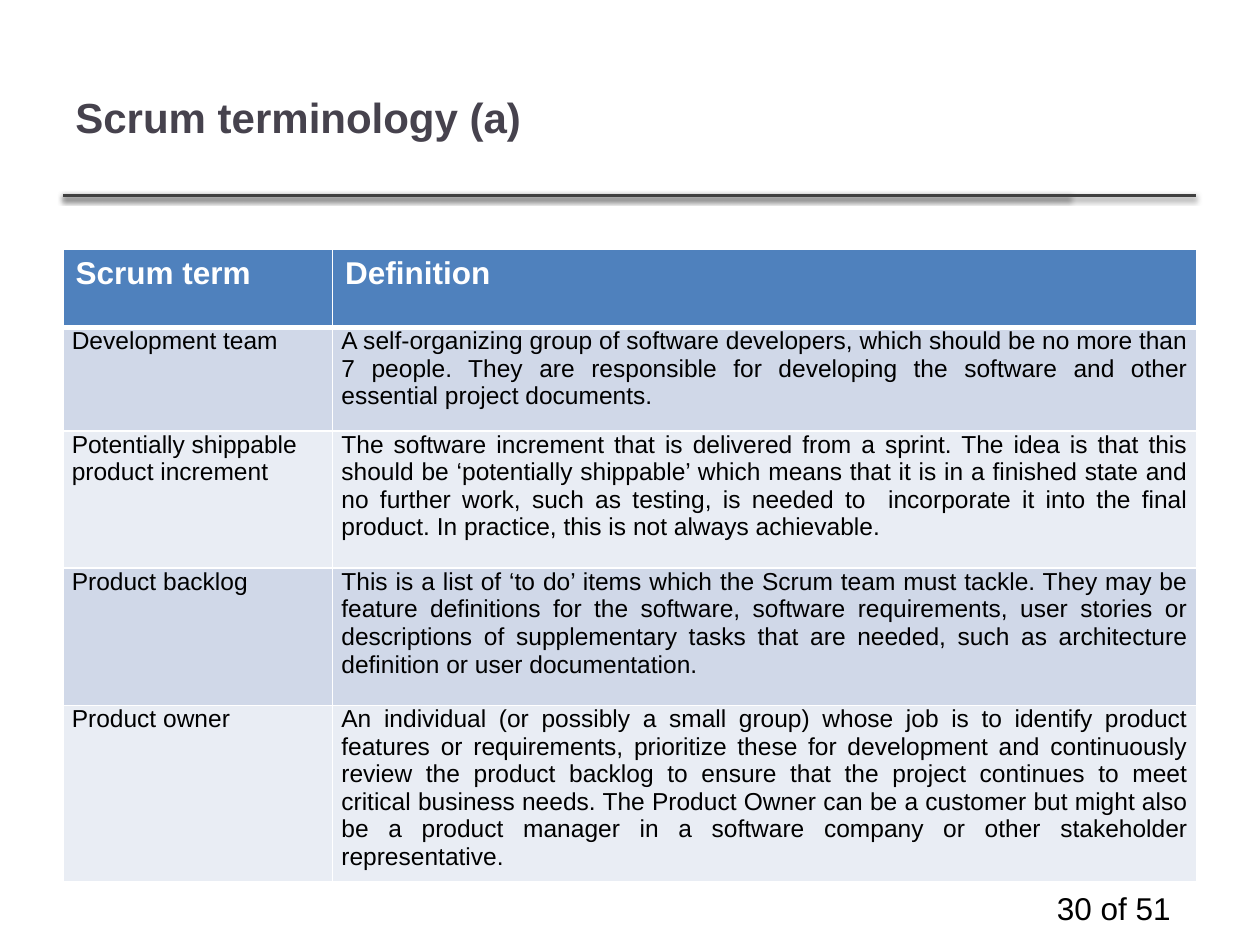
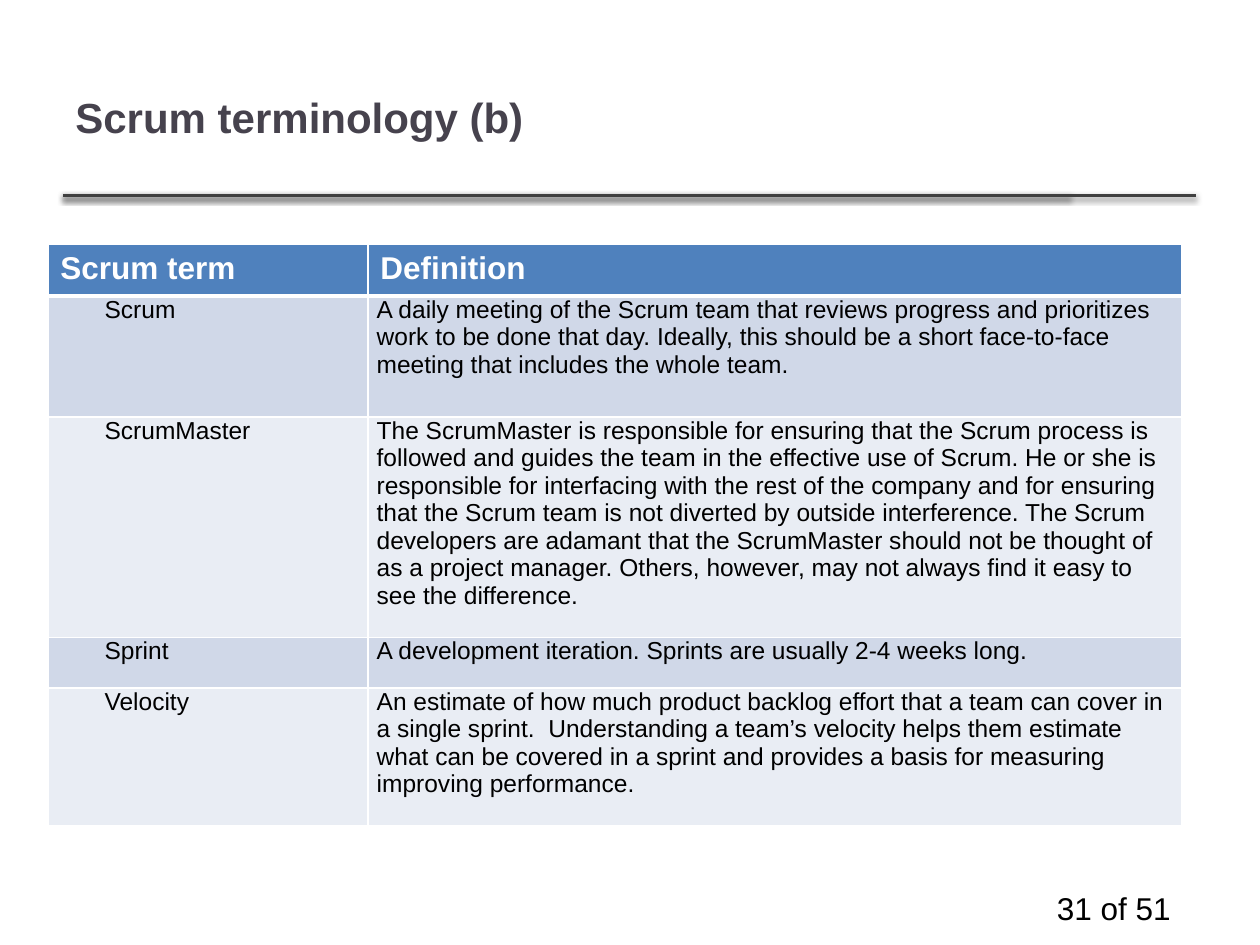
from lxml.etree import SubElement
from pptx import Presentation
from pptx.dml.color import RGBColor
from pptx.enum.shapes import MSO_CONNECTOR
from pptx.enum.text import MSO_ANCHOR, PP_ALIGN
from pptx.oxml.ns import qn
from pptx.util import Inches, Pt

TITLE_INK = RGBColor(0x46, 0x42, 0x4D)
RULE_GREY = RGBColor(0x40, 0x40, 0x40)
BLACK = RGBColor(0, 0, 0)
WHITE = RGBColor(0xFF, 0xFF, 0xFF)
HEADER_BLUE = RGBColor(0x4F, 0x81, 0xBD)
ROW_BANDS = [RGBColor(0xE9, 0xED, 0xF4), RGBColor(0xD0, 0xD8, 0xE8)]

PAGE_COUNT = 51
HEADINGS = ("Scrum term", "Definition")

TERMS_A = [
    ("Development team",
     "A self-organizing group of software developers, which should be no more than 7 people. "
     "They are responsible for developing the software and other essential project documents."),
    ("Potentially shippable product increment",
     "The software increment that is delivered from a sprint. The idea is that this should be "
     "‘potentially shippable’ which means that it is in a finished state and no further work, "
     "such as testing, is needed to  incorporate it into the final product. In practice, this "
     "is not always achievable."),
    ("Product backlog",
     "This is a list of ‘to do’ items which the Scrum team must tackle. They may be feature "
     "definitions for the software, software requirements, user stories or descriptions of "
     "supplementary tasks that are needed, such as architecture definition or user "
     "documentation."),
    ("Product owner",
     "An individual (or possibly a small group) whose job is to identify product features or "
     "requirements, prioritize these for development and continuously review the product "
     "backlog to ensure that the project continues to meet critical business needs. The "
     "Product Owner can be a customer but might also be a product manager in a software "
     "company or other stakeholder representative."),
]
TERMS_B = [
    ("Scrum",
     "A daily meeting of the Scrum team that reviews progress and prioritizes work to be done "
     "that day. Ideally, this should be a short face-to-face meeting that includes the whole "
     "team."),
    ("ScrumMaster",
     "The ScrumMaster is responsible for ensuring that the Scrum process is followed and "
     "guides the team in the effective use of Scrum. He or she is responsible for interfacing "
     "with the rest of the company and for ensuring that the Scrum team is not diverted by "
     "outside interference. The Scrum developers are adamant that the ScrumMaster should not "
     "be thought of as a project manager. Others, however, may not always find it easy to see "
     "the difference."),
    ("Sprint", "A development iteration. Sprints are usually 2-4 weeks long."),
    ("Velocity",
     "An estimate of how much product backlog effort that a team can cover in a single "
     "sprint.  Understanding a team’s velocity helps them estimate what can be covered in a "
     "sprint and provides a basis for measuring improving performance."),
]


class TermDeck:
    font = "Arial"

    def __init__(self):
        self.deck = Presentation()
        self.deck.slide_width = Inches(10)
        self.deck.slide_height = Inches(7.5)

    def start_page(self, title, number):
        self.page = self.deck.slides.add_slide(self.deck.slide_layouts[6])
        for right in (8.49, 9.49):
            self.add_rule(0.5, right, 1.55)
        self.add_text(f"{number} of {PAGE_COUNT}", 8.29, 7.01, 1.43, 0.4, 18, BLACK)
        self.add_text(title, 0.5, 0.3, 7.98, 1.25, 24, TITLE_INK, True, MSO_ANCHOR.MIDDLE)

    def format_text(self, frame, size, color, bold=False, align=PP_ALIGN.LEFT):
        for para in frame.paragraphs:
            para.alignment = align
            for span in para.runs:
                span.font.name = self.font
                span.font.size = Pt(size)
                span.font.bold = bold
                span.font.color.rgb = color

    def add_text(self, text, left, top, width, height, size, color, bold=False,
                 anchor=MSO_ANCHOR.TOP):
        box = self.page.shapes.add_textbox(
            Inches(left), Inches(top), Inches(width), Inches(height))
        frame = box.text_frame
        frame.word_wrap = True
        frame.vertical_anchor = anchor
        frame.text = text
        self.format_text(frame, size, color, bold)

    def add_rule(self, left, right, top):
        rule = self.page.shapes.add_connector(
            MSO_CONNECTOR.STRAIGHT, Inches(left), Inches(top), Inches(right), Inches(top))
        rule.line.color.rgb = RULE_GREY
        rule.line.width = Pt(2)
        properties = rule._element.find(qn("p:spPr"))
        effects = SubElement(properties, qn("a:effectLst"))
        shadow = SubElement(effects, qn("a:outerShdw"), blurRad=str(Pt(3.1)),
                            dist=str(Pt(1.6)), dir="5400000", rotWithShape="0")
        shade = SubElement(shadow, qn("a:srgbClr"), val=str(BLACK))
        SubElement(shade, qn("a:alpha"), val="38000")

    def add_borders(self, cell, top, bottom):
        properties = cell._tc.get_or_add_tcPr()
        for side, width in (("L", 1), ("R", 1), ("T", top), ("B", bottom)):
            line = SubElement(properties, qn(f"a:ln{side}"), w=str(Pt(width)))
            fill = SubElement(line, qn("a:solidFill"))
            SubElement(fill, qn("a:srgbClr"), val=str(WHITE))

    def add_terms(self, terms, left, top, widths, heights, term_indent=0,
                  align=PP_ALIGN.LEFT):
        rows = [HEADINGS, *terms]
        table = self.page.shapes.add_table(
            len(rows), len(widths), Inches(left), Inches(top),
            Inches(sum(widths)), Inches(sum(heights))).table
        for column, width in zip(table.columns, widths):
            column.width = Inches(width)
        for row, height in zip(table.rows, heights):
            row.height = Inches(height)
        for r, texts in enumerate(rows):
            for c, text in enumerate(texts):
                cell = table.cell(r, c)
                cell.text_frame.text = text
                self.add_borders(cell, 3 if r == 1 else 1, 3 if r == 0 else 1)
                cell.fill.solid()
                if r == 0:
                    cell.fill.fore_color.rgb = HEADER_BLUE
                    self.format_text(cell.text_frame, 18, WHITE, True)
                    continue
                cell.fill.fore_color.rgb = ROW_BANDS[r % 2]
                cell.margin_left = Inches(0.07 + (term_indent if c == 0 else 0))
                cell.margin_right = Inches(0.07)
                cell.margin_top = cell.margin_bottom = 0
                self.format_text(cell.text_frame, 14, BLACK,
                                 align=align if c else PP_ALIGN.LEFT)


def main():
    builder = TermDeck()
    builder.start_page("Scrum terminology (a)", 30)
    builder.add_terms(TERMS_A, 0.5, 1.98, (2.14, 6.86), (0.62, 0.82, 1.09, 1.09, 1.31),
                      align=PP_ALIGN.JUSTIFY)
    builder.start_page("Scrum terminology (b)", 31)
    builder.add_terms(TERMS_B, 0.38, 1.94, (2.54, 6.46), (0.41, 0.96, 1.75, 0.4, 1.09),
                      term_indent=0.38)
    builder.deck.save("out.pptx")


if __name__ == "__main__":
    main()
